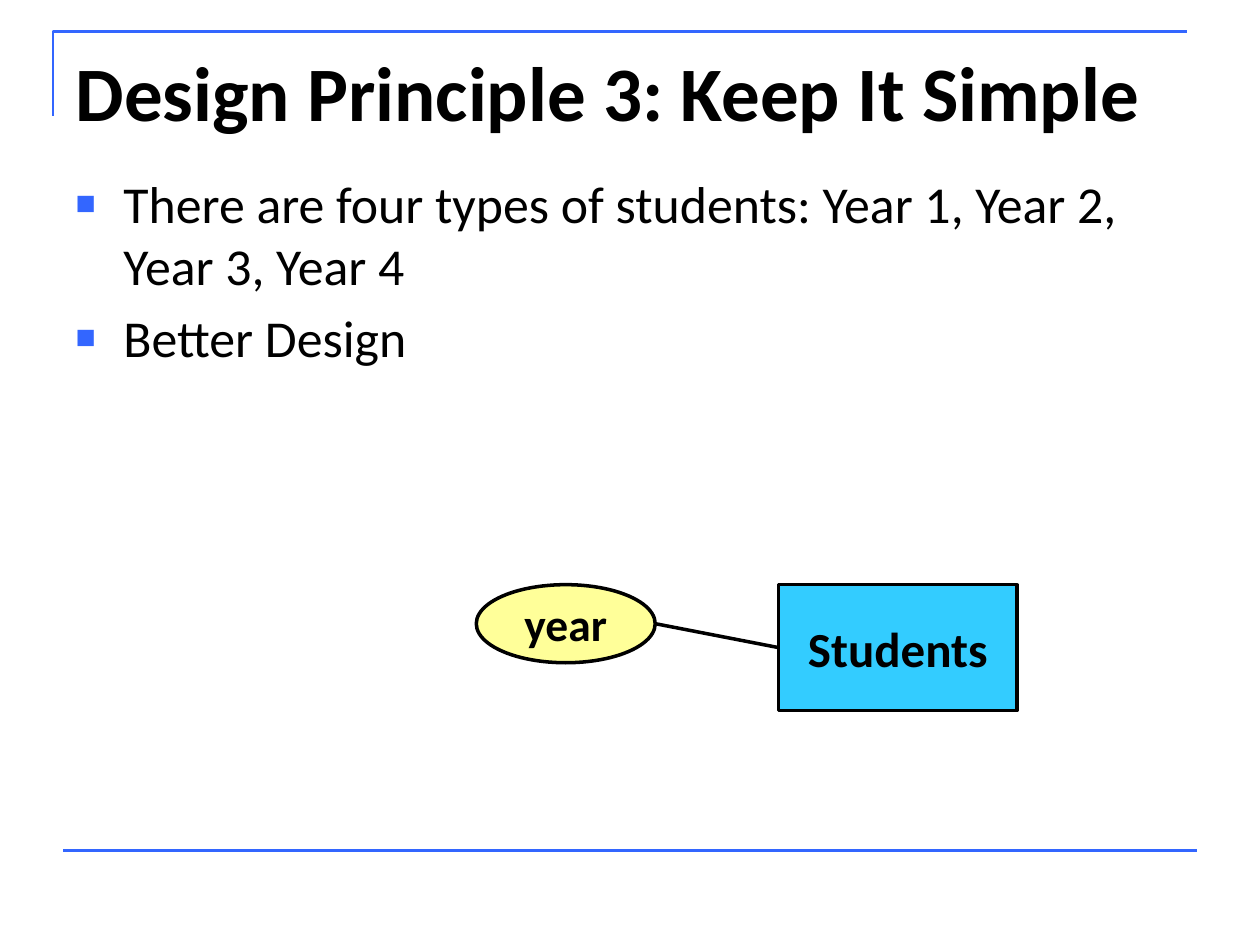
from lxml.etree import SubElement
from pptx import Presentation
from pptx.dml.color import RGBColor
from pptx.enum.shapes import MSO_CONNECTOR as Connector, MSO_SHAPE as Shape
from pptx.enum.text import MSO_ANCHOR as Anchor, MSO_AUTO_SIZE as AutoSize, PP_ALIGN as Align
from pptx.oxml.ns import qn
from pptx.util import Inches, Pt

COLORS = {"rule": "3366FF", "text": "000000", "entity": "33CCFF", "attribute": "FFFF99"}
FONT = "Calibri"


def color(name):
    return RGBColor.from_string(COLORS[name])


def write(frame, text, size, bold=False, align=Align.LEFT, anchor=Anchor.TOP, wrap=True):
    frame.auto_size = AutoSize.NONE
    frame.word_wrap = wrap
    frame.vertical_anchor = anchor
    frame.text = text
    for paragraph in frame.paragraphs:
        paragraph.alignment = align
        for run in paragraph.runs:
            run.font.name = FONT
            run.font.size = Pt(size)
            run.font.bold = bold
            run.font.color.rgb = color("text")


def place(part, left, top, width, height):
    part.left, part.top = Inches(left), Inches(top)
    part.width, part.height = Inches(width), Inches(height)


def outline(part, name, width):
    part.line.color.rgb = color(name)
    part.line.width = Pt(width)


def add_line(slide, start, end, name, width):
    line = slide.shapes.add_connector(Connector.STRAIGHT, *map(Inches, start + end))
    outline(line, name, width)
    SubElement(line._element.spPr, qn("a:effectLst"))


def add_frame(slide, left, top, width, height, corner_drop):
    builder = slide.shapes.build_freeform(Inches(left), Inches(top + corner_drop))
    builder.add_line_segments(
        [(Inches(left), Inches(top)), (Inches(left + width), Inches(top))], close=False)
    corner = builder.convert_to_shape()
    corner.fill.background()
    corner.shadow.inherit = False
    outline(corner, "rule", 1.5)
    footer_left, footer_top = left + 0.08, top + height
    add_line(slide, (footer_left, footer_top), (footer_left + width, footer_top), "rule", 1.5)


def add_title(slide, text, left, top, width, height):
    title = slide.shapes.title
    place(title, left, top, width, height)
    write(title.text_frame, text, 44, bold=True)


def add_bullets(slide, points, left, top, width, height):
    body = slide.placeholders[1]
    place(body, left, top, width, height)
    write(body.text_frame, "\n".join(points), 29.6)
    for paragraph in body.text_frame.paragraphs:
        props = paragraph._p.get_or_add_pPr()
        props.set("marL", str(Inches(0.38)))
        props.set("indent", str(Inches(-0.38)))
        bullet_color = SubElement(props, qn("a:buClr"))
        SubElement(bullet_color, qn("a:srgbClr"), val=COLORS["rule"])
        SubElement(props, qn("a:buSzPct"), val="65000")
        SubElement(props, qn("a:buChar"), char="■")


def add_node(slide, kind, text, fill, size, left, top, width, height):
    node = slide.shapes.add_shape(kind, *map(Inches, (left, top, width, height)))
    node.shadow.inherit = False
    node.fill.solid()
    node.fill.fore_color.rgb = color(fill)
    outline(node, "text", 2)
    write(node.text_frame, text, size, bold=True, align=Align.CENTER,
          anchor=Anchor.MIDDLE, wrap=False)


def add_diagram(slide, left, top, width, height):
    entity_width, attribute_width, attribute_height = 1.89, 1.42, 0.62
    entity_left = left + width - entity_width
    add_node(slide, Shape.RECTANGLE, "Students", "entity", 28,
             entity_left, top, entity_width, height)
    add_node(slide, Shape.OVAL, "year", "attribute", 26,
             left, top, attribute_width, attribute_height)
    add_line(slide, (entity_left, top + height / 2),
             (left + attribute_width, top + attribute_height / 2), "text", 2)


deck = Presentation()
deck.slide_width, deck.slide_height = Inches(10), Inches(7.5)
slide = deck.slides.add_slide(deck.slide_layouts[1])
add_frame(slide, 0.42, 0.25, 9, 6.5, corner_drop=0.67)
add_title(slide, "Design Principle 3: Keep It Simple", 0.5, 0.3, 9, 1.25)
add_bullets(slide, ["There are four types of students: Year 1, Year 2, Year 3, Year 4",
                    "Better Design"], 0.5, 1.31, 9, 1.5)
add_diagram(slide, 3.78, 4.64, 4.29, 1)
deck.save("out.pptx")
